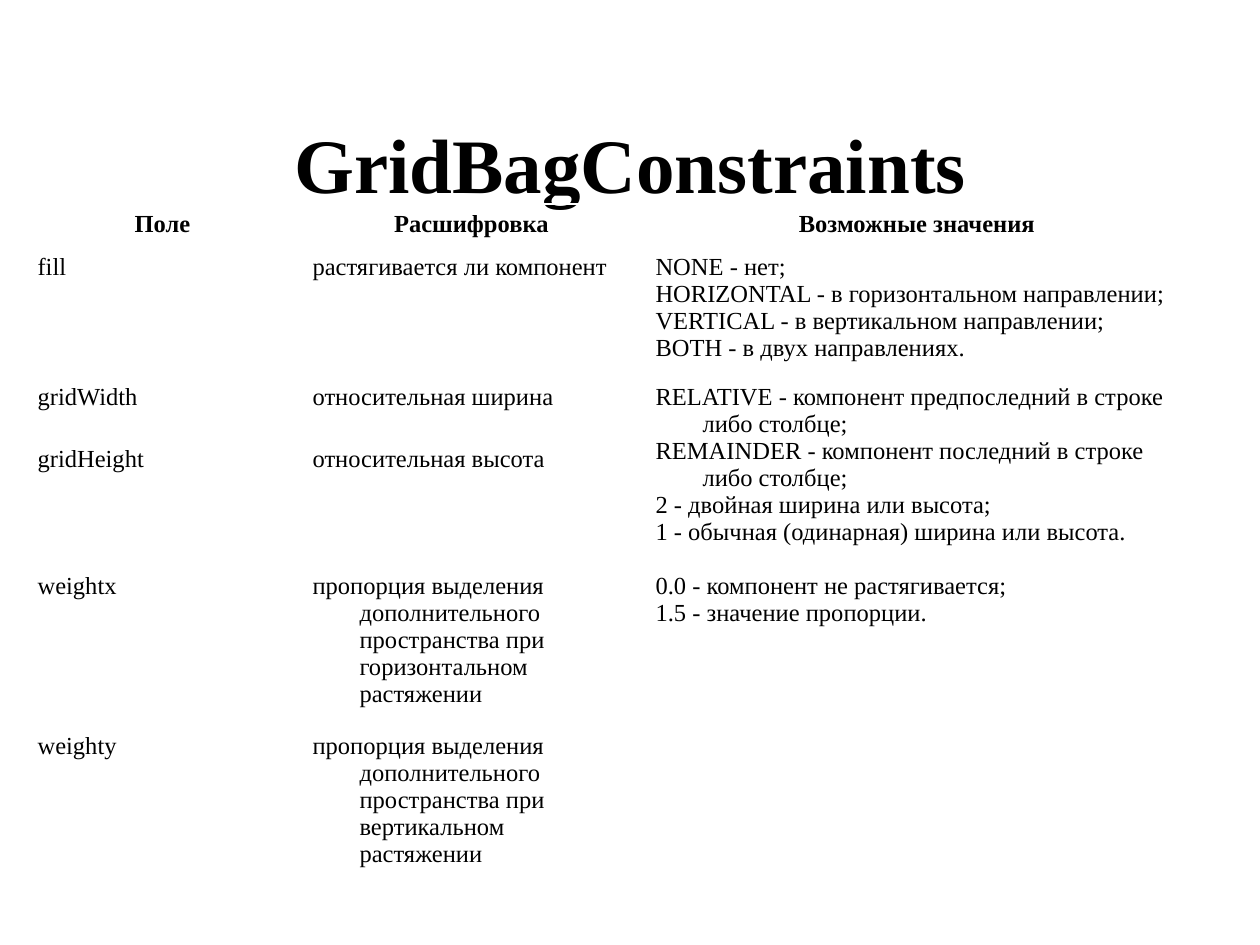
"""Build the GridBagConstraints reference slide."""
from dataclasses import dataclass

from pptx import Presentation
from pptx.dml.color import RGBColor
from pptx.enum.text import MSO_ANCHOR as Anchor, PP_ALIGN as Align
from pptx.util import Pt

PX = 914400 // 126


@dataclass(frozen=True)
class Theme:
    """Type and colour choices of the slide."""
    font: str = "Times New Roman"
    ink: RGBColor = RGBColor(0, 0, 0)
    title_size: int = 44
    table_size: int = 14


THEME = Theme()
HANGING_INDENT = 47
COLUMN_WIDTHS = (275, 343, 548)
ROW_HEIGHTS = (43, 130, 62, 127, 160, 160)
STRETCH = "пропорция выделения дополнительного пространства при {} растяжении"
FIELDS = (
    ("Поле", "Расшифровка", "Возможные значения"),
    ("fill", "растягивается ли компонент",
     "NONE - нет;\n"
     "HORIZONTAL - в горизонтальном направлении;\n"
     "VERTICAL - в вертикальном направлении;\n"
     "BOTH - в двух направлениях."),
    ("gridWidth", "относительная ширина",
     "RELATIVE - компонент предпоследний в строке либо столбце;\n"
     "REMAINDER - компонент последний в строке либо столбце;\n"
     "2 - двойная ширина или высота;\n"
     "1 - обычная (одинарная) ширина или высота."),
    ("gridHeight", "относительная высота", None),
    ("weightx", STRETCH.format("горизонтальном"),
     "0.0 - компонент не растягивается;\n"
     "1.5 - значение пропорции."),
    ("weighty", STRETCH.format("вертикальном"), None),
)


def px(*lengths):
    """Convert pixel lengths to EMU."""
    return [length * PX for length in lengths]


def write(frame, text, size, bold, align):
    """Put uniformly styled text into a text frame."""
    frame.text = text
    for paragraph in frame.paragraphs:
        paragraph.alignment = align
        for run in paragraph.runs:
            run.font.name = THEME.font
            run.font.size = Pt(size)
            run.font.bold = bold
            run.font.color.rgb = THEME.ink


def add_title(slide, text):
    """Add the centred slide title."""
    frame = slide.shapes.add_textbox(*px(95, 84, 1071, 158)).text_frame
    frame.word_wrap = True
    frame.vertical_anchor = Anchor.MIDDLE
    write(frame, text, THEME.title_size, True, Align.CENTER)


def fill_cell(cell, text, is_header):
    """Write one table cell with a hanging indent."""
    align = Align.CENTER if is_header else Align.LEFT
    write(cell.text_frame, text, THEME.table_size, is_header, align)
    (indent,) = px(HANGING_INDENT)
    for paragraph in cell.text_frame.paragraphs:
        properties = paragraph._p.get_or_add_pPr()
        properties.set("marL", str(indent))
        properties.set("indent", str(-indent))


def add_field_table(slide):
    """Add the table of constraint fields, merging shared values downwards."""
    table = slide.shapes.add_table(
        len(ROW_HEIGHTS), len(COLUMN_WIDTHS),
        *px(25, 204, sum(COLUMN_WIDTHS), sum(ROW_HEIGHTS))).table
    table.first_row = table.horz_banding = False
    for column, width in zip(table.columns, px(*COLUMN_WIDTHS)):
        column.width = width
    for row, height in zip(table.rows, px(*ROW_HEIGHTS)):
        row.height = height
    for row_index, field in enumerate(FIELDS):
        for column_index, text in enumerate(field):
            cell = table.cell(row_index, column_index)
            cell.fill.background()
            if text is None:
                table.cell(row_index - 1, column_index).merge(cell)
            else:
                fill_cell(cell, text, row_index == 0)


def main():
    """Create and save the presentation."""
    presentation = Presentation()
    presentation.slide_width, presentation.slide_height = px(1260, 945)
    slide = presentation.slides.add_slide(presentation.slide_layouts[6])
    add_title(slide, "GridBagConstraints")
    add_field_table(slide)
    presentation.save("out.pptx")


if __name__ == "__main__":
    main()
